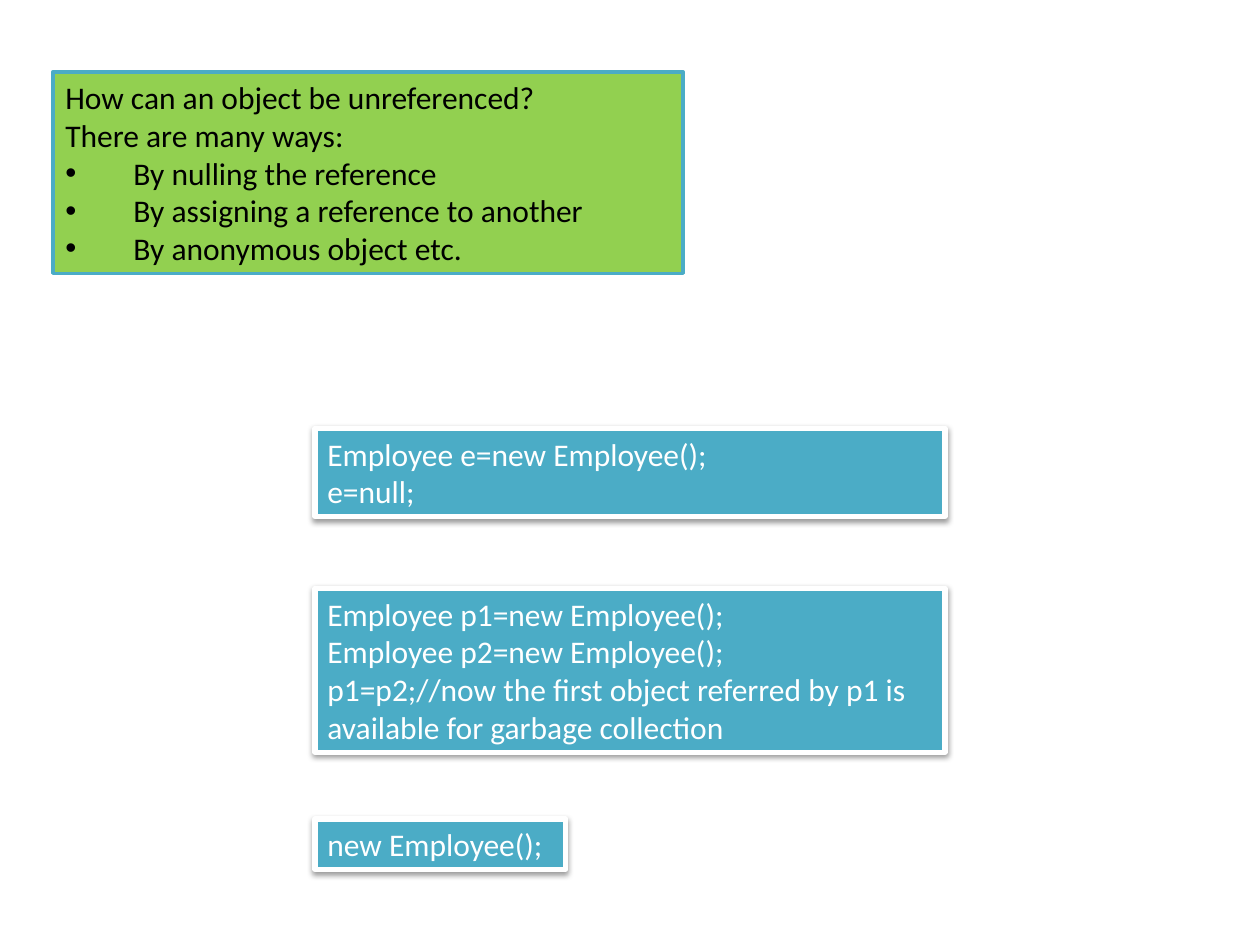
import pptx
import pptx.dml.color
import pptx.enum.shapes
import pptx.enum.text
import pptx.oxml
import pptx.oxml.ns
import pptx.util

THEME = {
    "font": "Calibri",
    "size": 18,
    "question_fill": "92D050",
    "accent": "4BACC6",
    "dark": "000000",
    "light": "FFFFFF",
}

presentation = pptx.Presentation()
presentation.slide_width = pptx.util.Inches(10)
presentation.slide_height = pptx.util.Inches(7.5)
slide = presentation.slides.add_slide(presentation.slide_layouts[6])

# Grid of 100 columns by 75 rows; a box holds three rows per line plus padding
COLUMN = presentation.slide_width / 100
ROW = presentation.slide_height / 75
LINE_ROWS, PADDING_ROWS = 3, 1
BULLET_INDENT = pptx.util.Inches(0.54)


def color(name):
    return pptx.dml.color.RGBColor.from_string(THEME[name])


def add_text_box(lines, *, column, row, columns, line_count, fill, outline,
                 outline_width, text_color, bullets_from=None, shadow=False, wrap=True):
    height = line_count * LINE_ROWS + PADDING_ROWS
    shape = slide.shapes.add_shape(
        pptx.enum.shapes.MSO_SHAPE.RECTANGLE,
        round(column * COLUMN), round(row * ROW),
        round(columns * COLUMN), round(height * ROW))
    shape.fill.solid()
    shape.fill.fore_color.rgb = color(fill)
    shape.line.color.rgb = color(outline)
    shape.line.width = pptx.util.Pt(outline_width)
    shape.shadow.inherit = False
    if shadow:
        effects = shape._element.spPr.find(pptx.oxml.ns.qn("a:effectLst"))
        effects.append(pptx.oxml.parse_xml(
            f'<a:outerShdw {pptx.oxml.ns.nsdecls("a")} blurRad="40000" dist="20000" '
            f'dir="5400000" rotWithShape="0"><a:srgbClr val="{THEME["dark"]}">'
            '<a:alpha val="38000"/></a:srgbClr></a:outerShdw>'))

    frame = shape.text_frame
    frame.word_wrap = wrap
    frame.auto_size = pptx.enum.text.MSO_AUTO_SIZE.SHAPE_TO_FIT_TEXT
    frame.vertical_anchor = pptx.enum.text.MSO_ANCHOR.TOP
    for index, line in enumerate(lines):
        paragraph = frame.paragraphs[0] if index == 0 else frame.add_paragraph()
        paragraph.alignment = pptx.enum.text.PP_ALIGN.LEFT
        if bullets_from is not None and index >= bullets_from:
            properties = paragraph._p.get_or_add_pPr()
            properties.set("marL", str(BULLET_INDENT))
            properties.set("indent", str(-BULLET_INDENT))
            for bullet in ('<a:buFont {} typeface="Arial"/>', '<a:buChar {} char="•"/>'):
                properties.append(pptx.oxml.parse_xml(
                    bullet.format(pptx.oxml.ns.nsdecls("a"))))
        run = paragraph.add_run()
        run.text = line
        run.font.name = THEME["font"]
        run.font.size = pptx.util.Pt(THEME["size"])
        run.font.color.rgb = color(text_color)


# Question and the list of ways
add_text_box(
    ["How can an object be unreferenced?",
     "There are many ways:",
     "By nulling the reference",
     "By assigning a reference to another",
     "By anonymous object etc."],
    column=4.2, row=5.7, columns=50, line_count=5, fill="question_fill",
    outline="accent", outline_width=2, text_color="dark", bullets_from=2)

# One code example for each way: row, columns, line count, wrap, code
examples = [
    (34, 50, 2, True, ["Employee e=new Employee();", "e=null;"]),
    (46.7, 50, 4, True, [
        "Employee p1=new Employee();",
        "Employee p2=new Employee();",
        "p1=p2;//now the first object referred by p1 is available for garbage collection"]),
    (65, 19.9, 1, False, ["new Employee();"]),
]
for row, columns, line_count, wrap, code in examples:
    add_text_box(code, column=25, row=row, columns=columns, line_count=line_count,
                 fill="accent", outline="light", outline_width=3,
                 text_color="light", shadow=True, wrap=wrap)

presentation.save("out.pptx")
